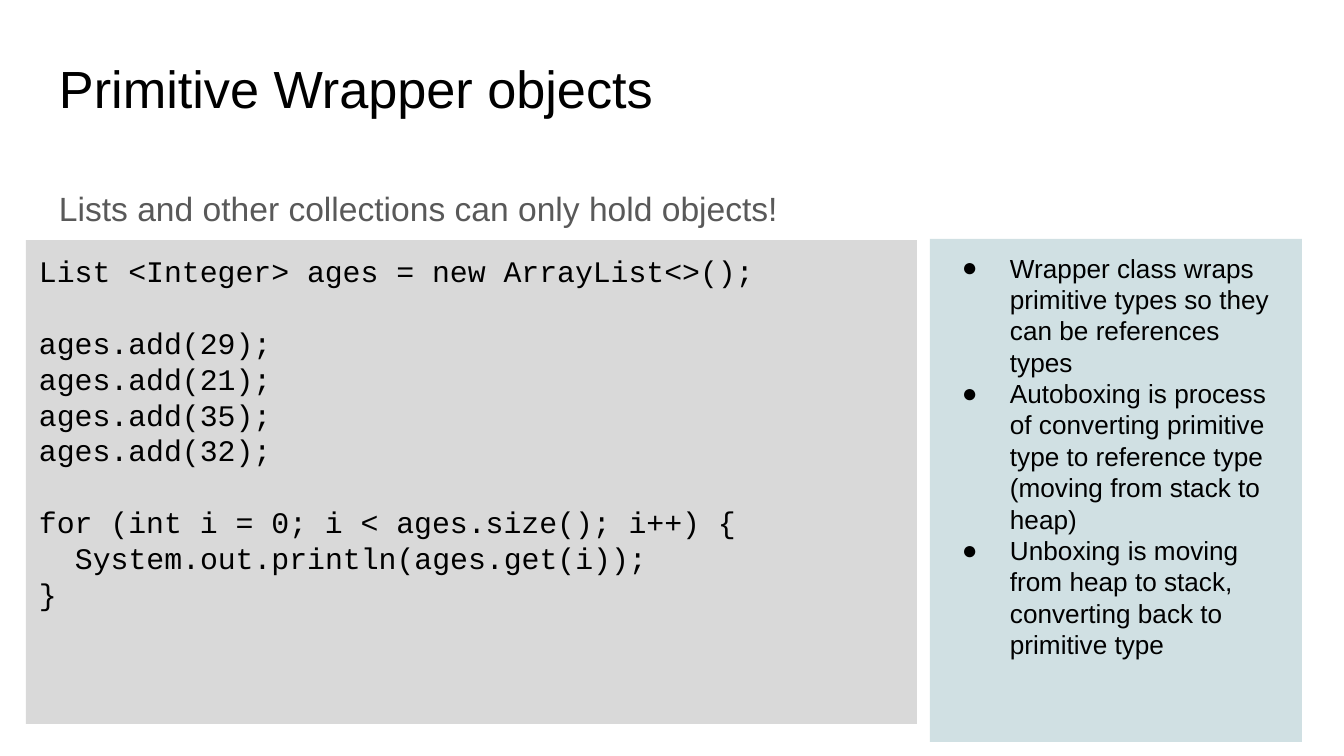
from lxml import etree
from pptx import Presentation
from pptx.dml.color import RGBColor
from pptx.enum.shapes import MSO_SHAPE
from pptx.enum.text import MSO_ANCHOR, PP_ALIGN
from pptx.oxml.ns import qn
from pptx.util import Emu, Pt

# Content
TITLE = "Primitive Wrapper objects"
LEAD = "Lists and other collections can only hold objects!"
CODE_GROUPS = [
    ["List <Integer> ages = new ArrayList<>();"],
    ["ages.add(29);", "ages.add(21);", "ages.add(35);", "ages.add(32);"],
    ["for (int i = 0; i < ages.size(); i++) {",
     "\tSystem.out.println(ages.get(i));",
     "}"],
]
NOTES = [
    "Wrapper class wraps primitive types so they can be references types",
    "Autoboxing is process of converting primitive type to reference type "
    "(moving from stack to heap)",
    "Unboxing is moving from heap to stack, converting back to primitive type",
]

# Theme: (font, size, colour) for each kind of text
THEME = {
    "title": ("Arial", 28, "000000"),
    "lead": ("Arial", 18, "595959"),
    "code": ("Courier New", 16, "000000"),
    "notes": ("Arial", 14, "000000"),
    "code_fill": "D9D9D9",
    "notes_fill": "D0E0E3",
}
LINE_PITCH = 1.2

# Layout in pixels: left, top, width, height
SLIDE = (1344, 756)
TITLE_BOX = (46, 43, 1253, 85)
LEAD_BOX = (46, 169, 1253, 503)
CODE_BOX = (26, 240, 891, 484)
NOTES_BOX = (930, 239, 372, 503)
INSET = 13
CODE_INDENT = 36
NOTE_INDENT, NOTE_HANG = 67, 48


def px(value):
    return Emu(round(value * 914400 / 134.4))


def prepare(shape, box):
    shape.left, shape.top, shape.width, shape.height = map(px, box)
    frame = shape.text_frame
    frame.word_wrap = True
    frame.vertical_anchor = MSO_ANCHOR.TOP
    frame.margin_left = frame.margin_right = px(INSET)
    frame.margin_top = frame.margin_bottom = px(INSET)
    return frame


def write(frame, lines, style):
    name, size, color = THEME[style]
    for i, line in enumerate(lines):
        p = frame.paragraphs[0] if i == 0 else frame.add_paragraph()
        p.alignment = PP_ALIGN.LEFT
        run = p.add_run()
        run.text = line
        run.font.name, run.font.size = name, Pt(size)
        run.font.color.rgb = RGBColor.from_string(color)
    return frame.paragraphs


def panel(slide, box, fill):
    shape = slide.shapes.add_shape(MSO_SHAPE.RECTANGLE, *map(px, box))
    shape.shadow.inherit = False
    shape.fill.solid()
    shape.fill.fore_color.rgb = RGBColor.from_string(THEME[fill])
    shape.line.fill.background()
    return prepare(shape, box)


prs = Presentation()
prs.slide_width, prs.slide_height = map(px, SLIDE)
slide = prs.slides.add_slide(prs.slide_layouts[5])

# Title and lead sentence
write(prepare(slide.shapes.title, TITLE_BOX), [TITLE], "title")
lead = prepare(slide.shapes.add_textbox(*map(px, LEAD_BOX)), LEAD_BOX)
write(lead, [LEAD], "lead")[0].line_spacing = 1.15

# Code panel: one empty line's height between groups
lines = [line for group in CODE_GROUPS for line in group]
code_pitch = Pt(THEME["code"][1] * LINE_PITCH)
group_starts = [group[0] for group in CODE_GROUPS[1:]]
code = panel(slide, CODE_BOX, "code_fill")
for p, line in zip(write(code, [s.strip() for s in lines], "code"), lines):
    p.line_spacing = code_pitch
    if line in group_starts:
        p.space_before = code_pitch
    if line.startswith("\t"):
        p._p.get_or_add_pPr().set("marL", str(px(CODE_INDENT)))

# Bulleted notes
for p in write(panel(slide, NOTES_BOX, "notes_fill"), NOTES, "notes"):
    p.line_spacing = Pt(THEME["notes"][1] * LINE_PITCH)
    props = p._p.get_or_add_pPr()
    props.set("marL", str(px(NOTE_INDENT)))
    props.set("indent", str(px(-NOTE_HANG)))
    color = etree.SubElement(props, qn("a:buClr"))
    etree.SubElement(color, qn("a:srgbClr"), val=THEME["notes"][2])
    etree.SubElement(props, qn("a:buFont"), typeface=THEME["notes"][0])
    etree.SubElement(props, qn("a:buChar"), char="●")

prs.save("out.pptx")
